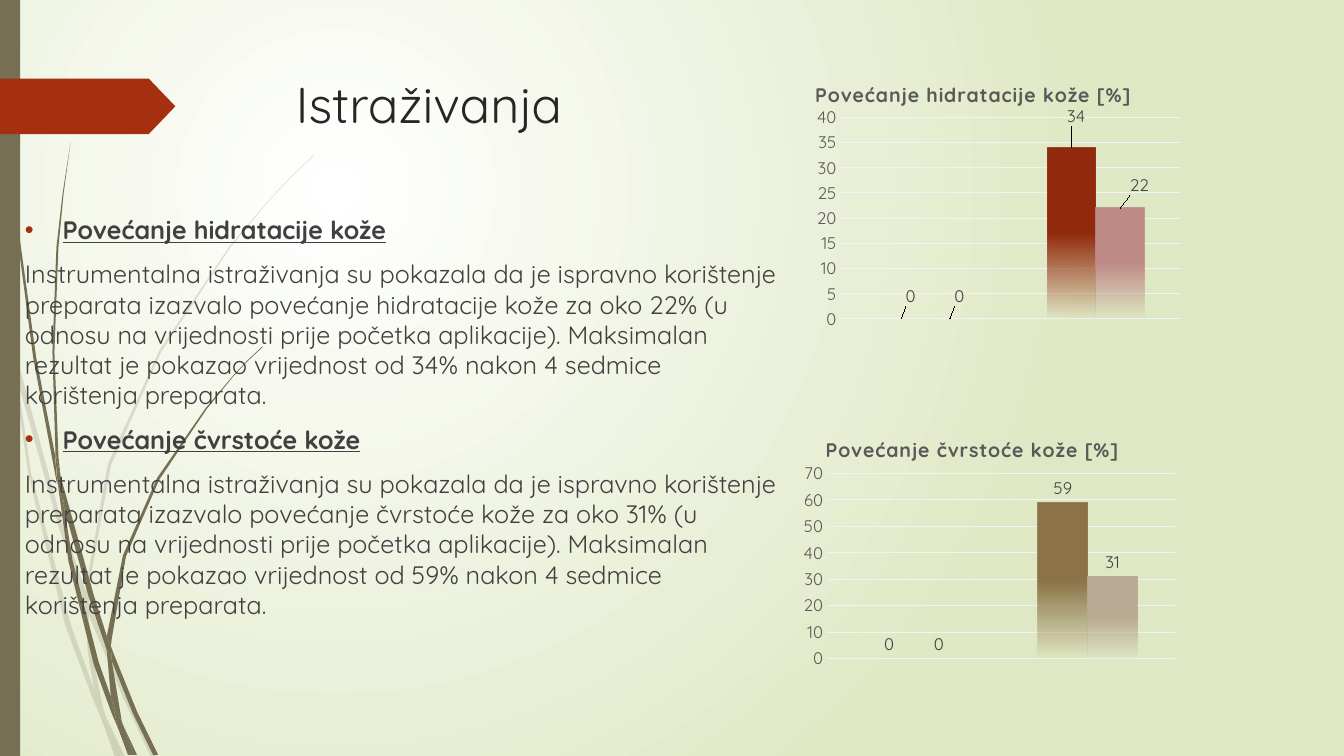
from lxml.etree import SubElement
from pptx import Presentation
from pptx.chart.data import CategoryChartData
from pptx.dml.color import RGBColor
from pptx.enum.chart import XL_CHART_TYPE as CT, XL_LABEL_POSITION as LP, XL_TICK_MARK as TM
from pptx.enum.shapes import MSO_SHAPE as SHAPE
from pptx.enum.text import MSO_ANCHOR as ANCHOR, MSO_AUTO_SIZE as FIT
from pptx.oxml.ns import qn
from pptx.util import Cm, Pt

FONT = "Quicksand"
OLIVE, RED = "766F54", "A53010"
TITLE = "Istraživanja"
BODY = [
    ("Povećanje hidratacije kože",
     "Instrumentalna istraživanja su pokazala da je ispravno korištenje preparata izazvalo "
     "povećanje hidratacije kože za oko 22% (u odnosu na vrijednosti prije početka aplikacije). "
     "Maksimalan rezultat je pokazao vrijednost od 34% nakon 4 sedmice korištenja preparata."),
    ("Povećanje čvrstoće kože",
     "Instrumentalna istraživanja su pokazala da je ispravno korištenje preparata izazvalo "
     "povećanje čvrstoće kože za oko 31% (u odnosu na vrijednosti prije početka aplikacije). "
     "Maksimalan rezultat je pokazao vrijednost od 59% nakon 4 sedmice korištenja preparata."),
]
CHARTS = [
    dict(title="Povećanje hidratacije kože [%]", box=(20.09, 1.65, 12.09, 7.26),
         title_at=(0.03, 0.04), plot=(0.09, 0.18, 0.71, 0.7), top=40, step=5,
         series=[("Series 1", (0, 34), "922B0E"), ("Series 2", (0, 22), "BF8B87")],
         shifts=[(0.02, -0.03), (0.01, -0.06), (0.02, -0.03), (0.04, -0.03)]),
    dict(title="Povećanje čvrstoće kože [%]", box=(19.84, 10.54, 12.52, 6.96),
         title_at=(0.07, 0.05), plot=(0.08, 0.2, 0.7, 0.67), top=70, step=10,
         series=[("Series 1", (0, 59), "8D7448"), ("Series 2", (0, 31), "BBAB94")],
         shifts=[]),
]
PALE_BLADES = [
    "11,350 9,322 0,282 0,299 10,344",
    "58,522 84,599 85,586 62,520 14,345 17,376",
    "92,607 88,596 88,610 123,694 150,751 155,751 127,692",
    "119,751 124,751 105,711",
    "93,683 70,619 31,469 17,376 11,350 28,470 65,621 92,693 101,714 99,707",
    "84,599 87,646 93,683 96,692 105,711 103,706 91,646 88,610 88,608",
    "88,584 110,462 160,349 229,245 268,198 290,175 312,154 312,153 289,175 268,197 "
    "228,244 158,348 107,461 85,584 85,586 88,596",
    "101,714 114,751 119,751",
    "88,608 88,610 88,596 85,586 84,599",
    "96,692 93,683 99,707 101,714 119,751 105,711",
]
DARK_BLADES = [
    "7,110 17,233 33,355 56,477 57,481 55,457 55,453 36,355 19,232 8,109 5,48 4,0 3,0 4,48",
    "88,592 106,645 106,633 106,631 93,590 60,472 64,505",
    "113,649 110,641 111,656 132,708 152,749 157,749 136,706",
    "110,691 98,657 72,556 64,505 57,477 68,557 93,659 111,708 117,722 116,717",
    "60,472 58,453 54,349 58,245 63,193 70,141 62,193 56,245 52,349 55,449",
    "133,749 136,749 122,719",
    "57,477 64,505 60,472 55,449 55,453",
    "111,633 125,552 158,476 205,406 231,374 245,359 261,344 260,344 245,358 231,373 "
    "204,405 156,474 122,551 106,631 110,641",
    "117,722 127,749 131,749",
    "106,645 110,691 116,706 122,719 121,716 111,656 109,651",
    "106,645 109,651 111,656 110,641 106,631 106,633",
    "116,706 110,691 116,717 117,722 130,749 133,749 122,719",
]


def rgb(code):
    return RGBColor.from_string(code)


def style(font, size, color, bold=False):
    font.name, font.size, font.bold = FONT, Pt(size), bold
    font.color.rgb = rgb(color)


def gradient(fill, *stops):
    fill.gradient()
    fill.gradient_angle = 270
    for stop, (position, color) in zip(fill.gradient_stops, stops):
        stop.position = position
        stop.color.rgb = rgb(color)


def fade(element, percent):
    for color in element.iter(qn("a:srgbClr")):
        SubElement(color, qn("a:alpha"), val=str(percent * 1000))


def paint(sp, color):
    sp.shadow.inherit = False
    sp.fill.solid()
    sp.fill.fore_color.rgb = rgb(color)
    sp.line.fill.background()


def add_blade(slide, outline, color):
    points = [tuple(map(int, pair.split(","))) for pair in outline.split()]
    builder = slide.shapes.build_freeform(*points[0], scale=Cm(2.54) / 100)
    builder.add_line_segments(points[1:], close=True)
    sp = builder.convert_to_shape()
    paint(sp, color)
    return sp


def add_text(slide, box):
    tf = slide.shapes.add_textbox(*map(Cm, box)).text_frame
    tf.word_wrap, tf.vertical_anchor = True, ANCHOR.TOP
    return tf


def set_layout(parent, index, values, inner=False):
    for old in parent.findall(qn("c:layout")):
        parent.remove(old)
    layout = parent.makeelement(qn("c:layout"))
    parent.insert(index, layout)
    manual = SubElement(layout, qn("c:manualLayout"))
    if inner:
        SubElement(manual, qn("c:layoutTarget"), val="inner")
    if index != 1 or parent.tag == qn("c:title"):
        for mode in ("xMode", "yMode"):
            SubElement(manual, qn("c:" + mode), val="edge")
    for key, value in zip("xywh", values):
        SubElement(manual, qn("c:" + key), val=str(value))


def add_column_chart(slide, spec_):
    data = CategoryChartData()
    data.categories = ["1", "2"]
    for name, values, _ in spec_["series"]:
        data.add_series(name, values)
    chart = slide.shapes.add_chart(CT.COLUMN_CLUSTERED, *map(Cm, spec_["box"]), data).chart
    style(chart.font, 10, "000000")
    chart.has_legend = False

    chart.has_title = True
    p = chart.chart_title.text_frame.paragraphs[0]
    r = p.add_run()
    r.text = spec_["title"]
    style(r.font, 14, "595959", bold=True)
    for props in chart.element.iter(qn("a:rPr")):
        props.set("spc", "50")

    chart.category_axis.visible = False
    axis = chart.value_axis
    axis.minimum_scale, axis.maximum_scale, axis.major_unit = 0, spec_["top"], spec_["step"]
    axis.major_tick_mark = axis.minor_tick_mark = TM.NONE
    axis.format.line.fill.background()
    style(axis.tick_labels.font, 12, "595959")
    grid = axis.major_gridlines.format.line
    grid.color.rgb, grid.width = rgb("F2F2F2"), Pt(0.75)

    plot = chart.plots[0]
    plot.gap_width, plot.vary_by_categories = 150, False
    for ser, (_, values, color) in zip(plot.series, spec_["series"]):
        gradient(ser.format.fill, (0.5, color), (1, color))
        labels = ser.data_labels
        labels.show_value, labels.position = True, LP.OUTSIDE_END
        style(labels.font, 12, "404040")
        if spec_["shifts"]:
            for i in range(len(values)):
                label = ser.points[i].data_label
                style(label.font, 12, "404040")
                label.position = LP.OUTSIDE_END

    for stop in chart.element.iter(qn("a:gs")):
        if stop.get("pos") == "100000":
            fade(stop, 0)
    for label, shift in zip(chart.element.iter(qn("c:dLbl")), spec_["shifts"]):
        set_layout(label, 1, shift)
    set_layout(next(chart.element.iter(qn("c:title"))), 1, spec_["title_at"])
    set_layout(next(chart.element.iter(qn("c:plotArea"))), 0, spec_["plot"], inner=True)


def main():
    prs = Presentation()
    prs.slide_width, prs.slide_height = Cm(33.87), Cm(19.05)
    slide = prs.slides.add_slide(prs.slide_layouts[6])

    gradient(slide.background.fill, (0, "FFFFFF"), (1, "DFE8C4"))
    grad = next(slide.element.iter(qn("a:gradFill")))
    grad.remove(grad.find(qn("a:lin")))
    circle = SubElement(grad, qn("a:path"), path="circle")
    SubElement(circle, qn("a:fillToRect"), l="50000", t="50000", r="100000", b="100000")

    for outline in PALE_BLADES:
        fade(add_blade(slide, outline, OLIVE).element.spPr, 20)
    for outline in DARK_BLADES:
        add_blade(slide, outline, OLIVE)

    paint(slide.shapes.add_shape(SHAPE.RECTANGLE, 0, 0, Cm(0.51), prs.slide_height), OLIVE)
    arrow = slide.shapes.add_shape(SHAPE.PENTAGON, 0, Cm(1.98), Cm(4.42), Cm(1.4))
    arrow.adjustments[0] = 0.48
    paint(arrow, RED)

    p = add_text(slide, (7.21, 1.73, 24.77, 3.56)).paragraphs[0]
    p.text = TITLE
    style(p.font, 36, "262626")

    tf = add_text(slide, (0.38, 5.28, 19.46, 10.49))
    tf.auto_size = FIT.TEXT_TO_FIT_SHAPE
    lines = [(text, i == 0) for pair in BODY for i, text in enumerate(pair)]
    for n, (text, heading) in enumerate(lines):
        p = tf.add_paragraph() if n else tf.paragraphs[0]
        p.text = text
        p.space_before = Pt(10)
        if heading:
            props = p._p.get_or_add_pPr()
            props.set("marL", str(Cm(0.95)))
            props.set("indent", str(-Cm(0.95)))
            SubElement(SubElement(props, qn("a:buClr")), qn("a:srgbClr"), val=RED)
            SubElement(props, qn("a:buFont"), typeface="Arial")
            SubElement(props, qn("a:buChar"), char="•")
        style(p.font, 18, "404040", bold=heading)
        p.font.underline = heading

    for spec_ in CHARTS:
        add_column_chart(slide, spec_)
    prs.save("out.pptx")


if __name__ == "__main__":
    main()
